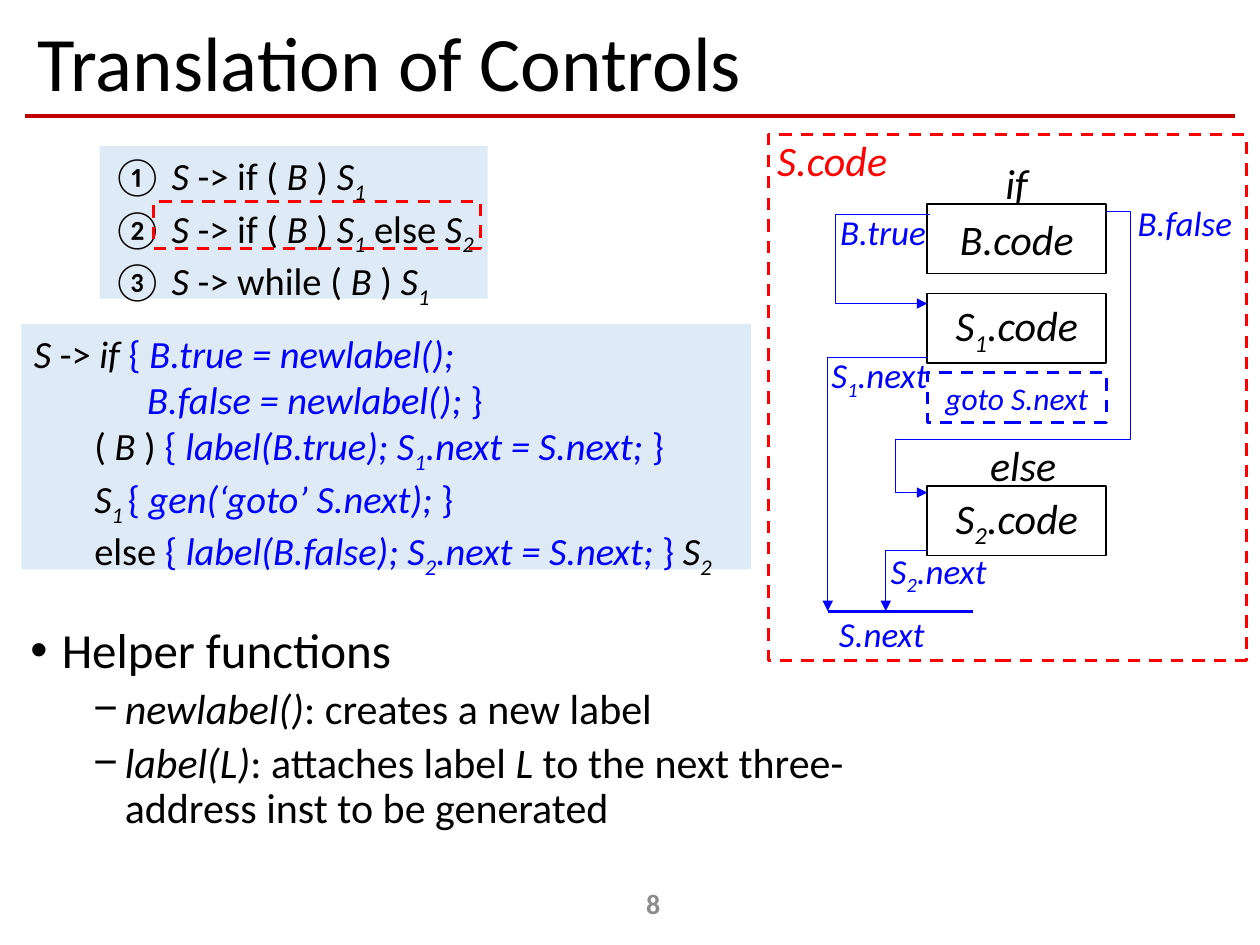
from itertools import groupby

from lxml import etree
from pptx import Presentation
from pptx.dml.color import RGBColor
from pptx.enum.dml import MSO_LINE
from pptx.enum.shapes import MSO_CONNECTOR as Link, MSO_SHAPE as Form
from pptx.enum.text import MSO_ANCHOR as Anchor, MSO_AUTO_SIZE as Fit, PP_ALIGN as Align
from pptx.oxml.ns import qn
from pptx.util import Inches, Pt

COLORS = {
    "ink": "000000",
    "blue": "0000FF",
    "red": "FF0000",
    "rule": "C00000",
    "pale": "DEEBF7",
    "gray": "8C8C8C",
}


def rgb(name):
    return RGBColor.from_string(COLORS[name])


class Deck:
    """Style and current slide. In text, * toggles italic, ~ subscript, ^ blue."""

    font = "Calibri"

    def __init__(self):
        self.prs = Presentation()
        self.prs.slide_width, self.prs.slide_height = Inches(10), Inches(7.5)
        self.slide = self.prs.slides.add_slide(self.prs.slide_layouts[1])

    def put(self, para, text, size, color="ink", italic=None, bold=None, align=Align.LEFT):
        para.alignment = align
        font = para.font
        font.name, font.size = self.font, Pt(size)
        font.italic, font.bold = italic, bold
        font.color.rgb = rgb(color)
        state = set()
        for mark, chars in groupby(text, lambda c: c in "*~^"):
            if mark:
                state ^= set(chars)
                continue
            run = para.add_run()
            run.text = "".join(chars)
            if "*" in state:
                run.font.italic = True
            if "^" in state:
                run.font.color.rgb = rgb("blue")
            if "~" in state:
                run.font._element.set("baseline", "-25000")

    def fill(self, frame, lines, size, **style):
        frame.auto_size = Fit.NONE
        for i, text in enumerate(lines):
            para = frame.add_paragraph() if i else frame.paragraphs[0]
            self.put(para, text, size, **style)

    def indent(self, para, left, first=0):
        props = para._p.get_or_add_pPr()
        props.set("marL", str(Inches(left)))
        props.set("indent", str(Inches(first)))
        return props

    def place(self, shape, box):
        shape.left, shape.top, shape.width, shape.height = map(Inches, box)
        return shape.text_frame

    def title(self, text, box):
        frame = self.place(self.slide.shapes.title, box)
        frame.vertical_anchor = Anchor.MIDDLE
        self.fill(frame, [text], 44)
        frame.paragraphs[0].line_spacing = 0.9

    def bullets(self, items, box):
        frame = self.place(self.slide.placeholders[1], box)
        frame.auto_size = Fit.NONE
        for i, (level, text) in enumerate(items):
            para = frame.add_paragraph() if i else frame.paragraphs[0]
            para.level, para.line_spacing = level, 0.9
            para.space_before = Pt(5 if level else 10)
            self.put(para, text, 24 if level else 28)
            props = self.indent(para, 0.25 + 0.5 * level, -0.25)
            char = etree.Element(qn("a:buChar"), char="−" if level else "•")
            props.find(qn("a:defRPr")).addprevious(char)

    def label(self, text, box, size=20, color="blue", italic=True, wrap=False, **style):
        frame = self.slide.shapes.add_textbox(*map(Inches, box)).text_frame
        frame.word_wrap = wrap
        self.fill(frame, [text], size, color=color, italic=italic, **style)
        return frame

    def rect(self, box, fill=None, line=None, width=1.75, dash=False):
        shape = self.slide.shapes.add_shape(Form.RECTANGLE, *map(Inches, box))
        shape.shadow.inherit = False
        if fill:
            shape.fill.solid()
            shape.fill.fore_color.rgb = rgb(fill)
        else:
            shape.fill.background()
        if line:
            shape.line.color.rgb = rgb(line)
            shape.line.width = Pt(width)
            if dash:
                shape.line.dash_style = MSO_LINE.DASH
        else:
            shape.line.fill.background()
        return shape

    def panel(self, lines, box):
        frame = self.rect(box, fill="pale").text_frame
        frame.word_wrap, frame.vertical_anchor = False, Anchor.TOP
        self.fill(frame, lines, 22)
        return frame

    def block(self, text, box, size=24, color="ink", **look):
        frame = self.rect(box, line=color, **look).text_frame
        frame.vertical_anchor = Anchor.MIDDLE
        self.fill(frame, [text], size, color=color, italic=True, align=Align.CENTER)

    def line(self, start, end, color="blue", width=1.75, kind=Link.STRAIGHT):
        link = self.slide.shapes.add_connector(kind, *map(Inches, start + end))
        link.line.color.rgb = rgb(color)
        link.line.width = Pt(width)
        etree.SubElement(link._element.spPr, qn("a:effectLst"))
        return link

    def bend(self, start, end, *via):
        """Arrow leaving sideways; via gives the x, y, x of its inner legs."""
        props = self.line(start, end, width=0.5, kind=Link.ELBOW)._element.spPr
        geom = props.find(qn("a:prstGeom"))
        geom.set("prst", f"bentConnector{len(via) + 2}")
        guides = geom.find(qn("a:avLst"))
        for i, stop in enumerate(via):
            a, b = start[i % 2], end[i % 2]
            ratio = round((stop - a) / (b - a) * 100000)
            etree.SubElement(guides, qn("a:gd"), name=f"adj{i + 1}", fmla=f"val {ratio}")
        etree.SubElement(props.find(qn("a:ln")), qn("a:tailEnd"), type="triangle")


def main():
    deck = Deck()

    # Heading and page number
    deck.line((0.2, 0.92), (9.8, 0.92), "rule", 2.5)
    deck.title("Translation of Controls", (0.2, 0.13, 9.61, 0.79))
    page = deck.label("8", (4.06, 6.97, 2.25, 0.4), 16, "gray", italic=None,
                      wrap=True, bold=True, align=Align.CENTER)
    page.vertical_anchor = Anchor.MIDDLE

    # Grammar rules
    deck.panel([
        "① *S* -> if ( *B* ) *S~1~*",
        "② *S* -> if ( *B* ) *S~1~* else *S~2~*",
        "③ *S* -> while ( *B* ) *S~1~*",
    ], (0.79, 1.16, 3.08, 1.21))

    # Code blocks of the flow
    left, wide, tall = 7.36, 1.42, 0.55
    for text, top in (("B.code", 1.62), ("S~1~.code", 2.33), ("S~2~.code", 3.86)):
        deck.block(text, (left, top, wide, tall), width=1)
    deck.block("goto S.next", (left, 2.96, wide, 0.39), 18, "blue", dash=True)
    deck.label("if", (7.88, 1.2, 0.38, 0.5), 24, "ink")
    deck.label("else", (7.76, 3.44, 0.73, 0.5), 24, "ink")

    # Jumps
    deck.bend((7.38, 1.7), (left, 2.41), 6.63)
    deck.bend((left + wide, 1.68), (left, 3.91), 8.97, 3.49, 7.11)
    deck.line((6.57, 4.85), (7.72, 4.85))
    deck.bend((left, 2.84), (6.57, 4.85))
    deck.bend((7.35, 4.37), (7.03, 4.85))

    # Jump labels
    for text, x, y, w in (
        ("B.false", 8.93, 1.55, 0.96),
        ("B.true", 6.57, 1.62, 0.89),
        ("S~1~.next", 6.5, 2.76, 0.98),
        ("S~2~.next", 6.97, 4.31, 0.98),
        ("S.next", 6.56, 4.81, 0.89),
    ):
        deck.label(text, (x, y, w, 0.44))

    # Frame around the flow
    deck.rect((6.1, 1.07, 3.79, 4.17), line="red", dash=True)
    deck.label("S.code", (6.07, 1.02, 1.08, 0.5), 24, "red")

    # Translation scheme
    scheme = deck.panel([
        "*S* -> *if *^{ *B.true = newlabel();*^",
        "^*B.false = newlabel(); *}^",
        "( *B* ) ^{* label(B.true); S~1~.next = S.next; *}^",
        "*S~1 ~*^{* gen(‘goto’ S.next); *}^",
        "else ^{ *label(B.false); S~2~.next = S.next; *} ^*S~2~*",
    ], (0.17, 2.57, 5.79, 1.95))
    for para, step in zip(scheme.paragraphs, (0, 0.9, 0.48, 0.48, 0.48)):
        deck.indent(para, step)

    # Helper functions
    deck.bullets([
        (0, "Helper functions"),
        (1, "*newlabel()*: creates a new label"),
        (1, "*label(L)*: attaches label *L *to the next three-address inst to be generated"),
    ], (0.14, 4.92, 7.59, 1.82))

    # Chosen rule
    deck.rect((1.22, 1.6, 2.59, 0.37), line="red", dash=True)

    deck.prs.save("out.pptx")


if __name__ == "__main__":
    main()
